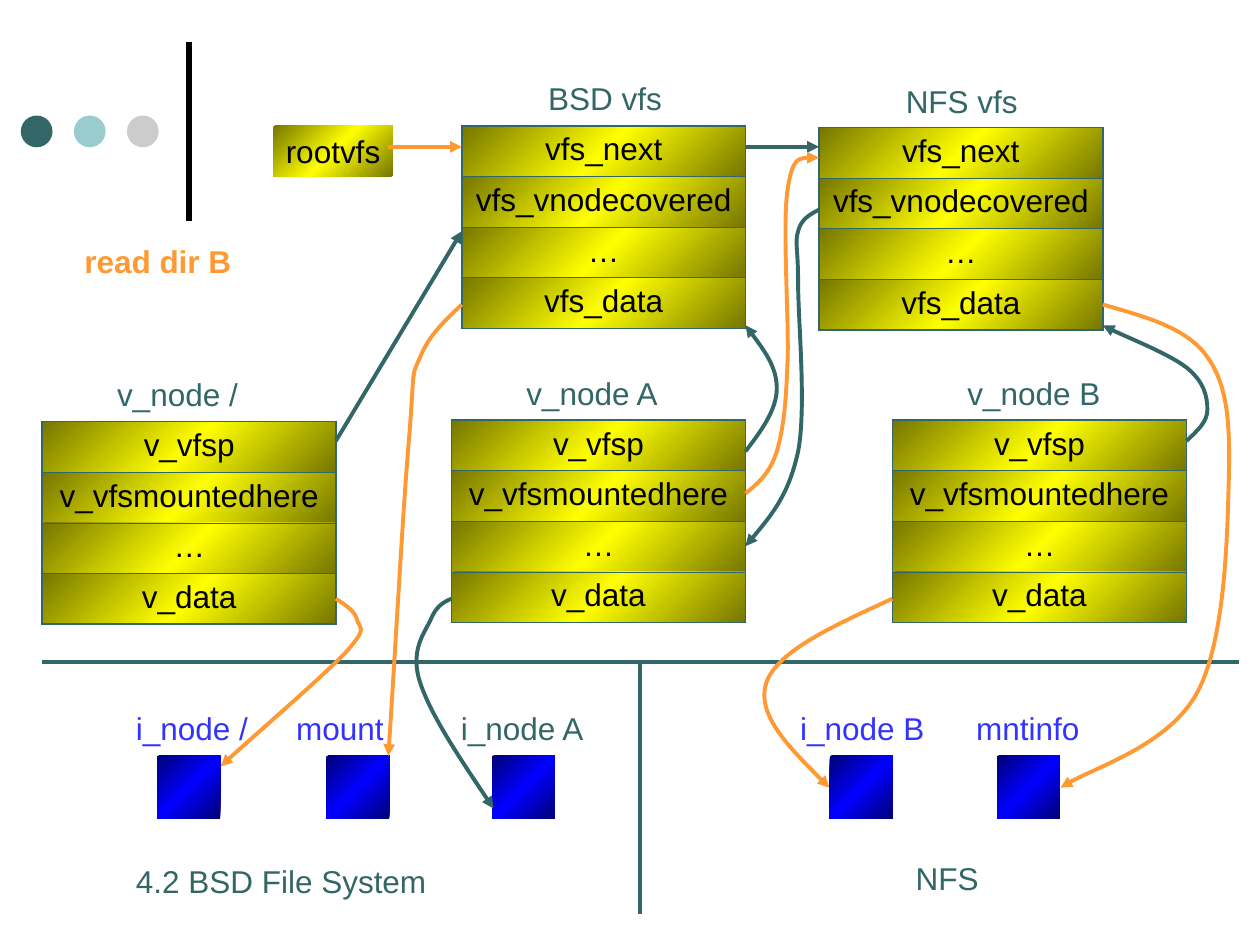
from copy import deepcopy

from lxml import etree
from pptx import Presentation
from pptx.dml.color import RGBColor
from pptx.enum.shapes import MSO_CONNECTOR, MSO_SHAPE
from pptx.enum.text import MSO_AUTO_SIZE, PP_ALIGN
from pptx.oxml.ns import qn
from pptx.util import Cm, Pt

STRAIGHT = MSO_CONNECTOR.STRAIGHT
RECTANGLE, OVAL = MSO_SHAPE.RECTANGLE, MSO_SHAPE.OVAL
CENTER = PP_ALIGN.CENTER
FIT_TEXT = MSO_AUTO_SIZE.SHAPE_TO_FIT_TEXT

COLORS = {
    "black": "000000", "teal": "336666", "aqua": "99CCCC", "gray": "CCCCCC",
    "orange": "FF9933", "blue": "3333FF",
    "olive": "767600", "yellow": "FFFF00",
    "navy": "000076", "bright blue": "0000FF",
}
FONT = {"name": "Arial", "size": Pt(18), "bold": False}
ROW = 1.02
SQUARE = 1.27

# All positions and sizes are in centimetres.
VFS = ["vfs_next", "vfs_vnodecovered", "…", "vfs_data"]
VNODE = ["v_vfsp", "v_vfsmountedhere", "…", "v_data"]
TABLES = [  # rows, left, top, width
    (VFS, 9.31, 2.54, 5.72),
    (VFS, 16.51, 2.57, 5.72),
    (VNODE, 0.85, 8.5, 5.93),
    (VNODE, 9.1, 8.47, 5.93),
    (VNODE, 17.99, 8.47, 5.93),
]
LABELS = [  # text, left, top, width, color
    ("BSD vfs", 10.8, 1.47, 2.9, "teal"),
    ("NFS vfs", 18.01, 1.52, 2.87, "teal"),
    ("v_node /", 2.11, 7.44, 3.05, "teal"),
    ("v_node A", 10.36, 7.42, 3.28, "teal"),
    ("v_node B", 19.25, 7.42, 3.28, "teal"),
    ("i_node /", 2.49, 14.17, 2.87, "blue"),
    ("mount", 5.72, 14.17, 2.36, "blue"),
    ("i_node A", 9.04, 14.17, 3.1, "teal"),
    ("i_node B", 15.88, 14.17, 3.1, "blue"),
    ("mntinfo", 19.43, 14.17, 2.69, "blue"),
    ("4.2 BSD File System", 2.49, 17.25, 6.5, "teal"),
    ("NFS", 18.21, 17.2, 1.88, "teal"),
]
SQUARE_TOP, SQUARE_LEFTS = 15.24, [3.17, 6.58, 9.92, 16.73, 20.1]
DOTS = ["teal", "aqua", "gray"]
LINES = [  # start, end, color, width in points, arrow
    ((3.81, 4.45), (3.81, 0.85), "black", 3, False),
    ((0.85, 13.34), (24.97, 13.34), "teal", 2.25, False),
    ((12.91, 13.34), (12.91, 18.42), "teal", 2.25, False),
    ((7.83, 2.96), (9.31, 2.96), "orange", 2.25, True),
    ((15.03, 2.96), (16.51, 2.96), "teal", 2.25, True),
    ((6.77, 8.89), (9.31, 4.66), "teal", 2.25, True),
]
CURVES = [  # color, start point followed by three points per Bezier segment
    ("teal", [(15.03, 9.1), (15.35, 8.68), (15.66, 8.26), (15.66, 7.83),
              (15.66, 7.41), (15.35, 6.98), (15.03, 6.56)]),
    ("orange", [(6.77, 12.07), (6.97, 12.2), (7.16, 12.32), (7.2, 12.5),
                (7.24, 12.67), (7.44, 12.62), (6.99, 13.13),
                (6.53, 13.62), (4.9, 15.02), (4.45, 15.45)]),
    ("orange", [(9.31, 6.14), (8.97, 6.46), (8.64, 6.77), (8.47, 7.2),
                (8.29, 7.62), (8.36, 7.34), (8.26, 8.68),
                (8.14, 10.01), (8, 12.62), (7.83, 15.24)]),
    ("teal", [(9.1, 12.07), (8.94, 12.14), (8.79, 12.22), (8.68, 12.5),
              (8.55, 12.77), (8.26, 13.12), (8.47, 13.76),
              (8.68, 14.4), (9.31, 15.35), (9.95, 16.3)]),
    ("orange", [(15.03, 9.95), (15.27, 9.75), (15.52, 9.55), (15.66, 9.1),
                (15.8, 8.64), (15.85, 8.08), (15.88, 7.2),
                (15.9, 6.32), (15.77, 4.47), (15.88, 3.81),
                (15.98, 3.15), (16.26, 3.15), (16.51, 3.18)]),
    ("teal", [(16.51, 4.23), (16.33, 4.32), (16.15, 4.42), (16.09, 4.66),
              (16.02, 4.9), (16.09, 4.98), (16.09, 5.72),
              (16.09, 6.46), (16.26, 8.23), (16.09, 9.1),
              (15.9, 9.98), (15.47, 10.49), (15.03, 11.01)]),
    ("orange", [(17.99, 12.07), (16.84, 12.6), (15.67, 13.12), (15.45, 13.76),
                (15.24, 14.4), (15.98, 15.14), (16.72, 15.88)]),
    ("orange", [(22.23, 6.14), (23.06, 6.38), (23.93, 6.6), (24.34, 7.2),
                (24.77, 7.8), (24.8, 8.61), (24.77, 9.74),
                (24.74, 10.87), (24.69, 12.95), (24.13, 13.97),
                (23.57, 14.99), (21.87, 15.54), (21.38, 15.88)]),
    ("teal", [(23.92, 8.89), (24.13, 8.69), (24.34, 8.51), (24.34, 8.26),
              (24.34, 8), (24.28, 7.7), (23.92, 7.41),
              (23.57, 7.14), (22.5, 6.71), (22.23, 6.56)]),
]


def rgb(color):
    return RGBColor.from_string(COLORS[color])


def fill_gradient(fill, element, edge, middle):
    """Fill diagonally, running from edge to middle and back to edge."""
    fill.gradient()
    fill.gradient_angle = 315
    stop_list = element.find(".//" + qn("a:gsLst"))
    stop_list.append(deepcopy(stop_list[0]))
    for stop, position, color in zip(fill.gradient_stops, (0, 0.5, 1), (edge, middle, edge)):
        stop.position = position
        stop.color.rgb = rgb(color)


def write(text_frame, text, color, **changes):
    paragraph = text_frame.paragraphs[0]
    paragraph.text = text
    font = paragraph.runs[0].font
    for attribute, value in {**FONT, **changes}.items():
        setattr(font, attribute, value)
    font.color.rgb = rgb(color)
    return paragraph


def fit_text(text_frame):
    text_frame.word_wrap = False
    text_frame.auto_size = FIT_TEXT


def add_label(slide, text, left, top, width, color, **changes):
    box = slide.shapes.add_textbox(Cm(left), Cm(top), Cm(width), Cm(ROW))
    write(box.text_frame, text, color, **changes)
    fit_text(box.text_frame)


def add_plain_shape(slide, kind, left, top, width, height):
    shape = slide.shapes.add_shape(kind, Cm(left), Cm(top), Cm(width), Cm(height))
    shape.shadow.inherit = False
    shape.line.fill.background()
    return shape


def style_line(shape, color, width, arrow):
    shape.line.color.rgb = rgb(color)
    shape.line.width = Pt(width)
    if arrow:
        line = shape._element.spPr.find(qn("a:ln"))
        etree.SubElement(line, qn("a:tailEnd"), type="triangle")


def add_line(slide, start, end, color, width, arrow):
    connector = slide.shapes.add_connector(STRAIGHT, *map(Cm, start + end))
    style_line(connector, color, width, arrow)
    etree.SubElement(connector._element.spPr, qn("a:effectLst"))


def add_curve(slide, color, points):
    """Draw an open freeform whose straight segments are regrouped as Beziers."""
    start, *rest = [(Cm(x), Cm(y)) for x, y in points]
    builder = slide.shapes.build_freeform(*start)
    builder.add_line_segments(rest, close=False)
    curve = builder.convert_to_shape()
    outline = curve._element.find(".//" + qn("a:path"))
    segments = outline.findall(qn("a:lnTo"))
    for first in range(0, len(segments), 3):
        bezier = etree.SubElement(outline, qn("a:cubicBezTo"))
        for segment in segments[first:first + 3]:
            bezier.append(segment[0])
            outline.remove(segment)
    curve.shadow.inherit = False
    curve.fill.background()
    style_line(curve, color, 2.25, True)


def add_borders(cell, widths):
    properties = cell._tc.get_or_add_tcPr()
    for index, (side, width) in enumerate(widths.items()):
        border = etree.Element(qn("a:ln" + side), w=str(Pt(width)))
        solid = etree.SubElement(border, qn("a:solidFill"))
        etree.SubElement(solid, qn("a:srgbClr"), val=COLORS["teal"])
        properties.insert(index, border)


def add_struct(slide, fields, left, top, width):
    frame = slide.shapes.add_table(
        len(fields), 1, Cm(left), Cm(top), Cm(width), Cm(ROW * len(fields)))
    table = frame.table
    table.first_row = table.horz_banding = False
    for index, field in enumerate(fields):
        cell = table.cell(index, 0)
        write(cell.text_frame, field, "black").alignment = CENTER
        fill_gradient(cell.fill, cell._tc, "olive", "yellow")
        add_borders(cell, {"L": 1.08, "R": 1.08,
                           "T": 1.08 if index == 0 else 0.45,
                           "B": 1.08 if index == len(fields) - 1 else 0.45})


def main():
    presentation = Presentation()
    presentation.slide_width, presentation.slide_height = Cm(25.4), Cm(19.05)
    slide = presentation.slides.add_slide(presentation.slide_layouts[6])
    for index, color in enumerate(DOTS):
        dot = add_plain_shape(slide, OVAL, 0.42 + 1.07 * index, 2.33, 0.64, 0.64)
        dot.fill.solid()
        dot.fill.fore_color.rgb = rgb(color)
    root = add_plain_shape(slide, RECTANGLE, 5.51, 2.54, 2.41, ROW)
    fill_gradient(root.fill, root._element, "olive", "yellow")
    write(root.text_frame, "rootvfs", "black")
    fit_text(root.text_frame)
    for table in TABLES:
        add_struct(slide, *table)
    for label in LABELS:
        add_label(slide, *label)
    for line in LINES:
        add_line(slide, *line)
    for left in SQUARE_LEFTS:
        square = add_plain_shape(slide, RECTANGLE, left, SQUARE_TOP, SQUARE, SQUARE)
        fill_gradient(square.fill, square._element, "navy", "bright blue")
    for curve in CURVES:
        add_curve(slide, *curve)
    add_label(slide, "read dir B", 1.45, 4.75, 3.6, "orange", bold=True)
    presentation.save("out.pptx")


if __name__ == "__main__":
    main()
